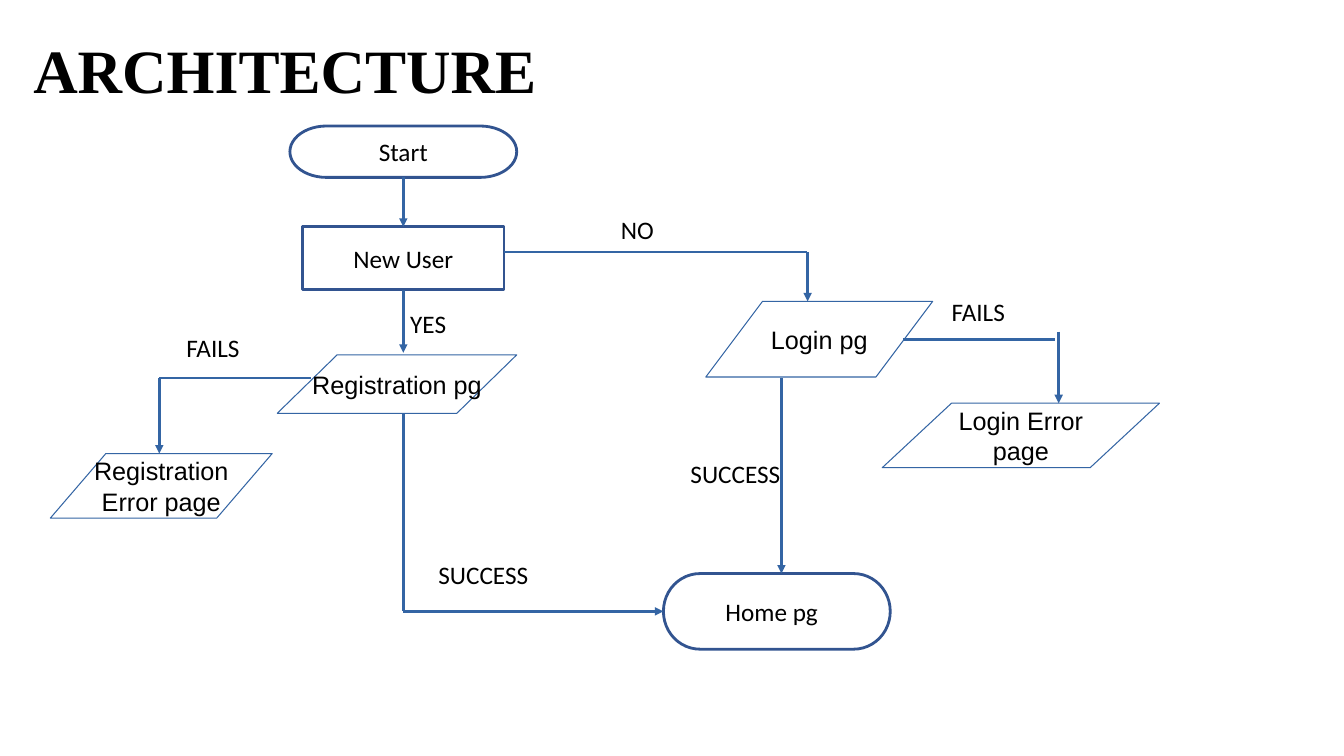
import pptx
import pptx.util
import pptx.dml.color
import pptx.enum.shapes
import pptx.enum.text
import pptx.oxml.ns
from lxml import etree

BLACK = pptx.dml.color.RGBColor(0x00, 0x00, 0x00)
WHITE = pptx.dml.color.RGBColor(0xFF, 0xFF, 0xFF)
NAVY = pptx.dml.color.RGBColor(0x32, 0x54, 0x90)
BLUE = pptx.dml.color.RGBColor(0x34, 0x65, 0xA4)

ALIGN = pptx.enum.text.PP_ALIGN
ANCHOR = pptx.enum.text.MSO_ANCHOR
SHAPE = pptx.enum.shapes.MSO_SHAPE
TOP, LEFT, BOTTOM = 0, 1, 2


class FlowSlide:
    """Draws flowchart parts on a slide, placed on a quarter-inch grid."""

    cell = 0.25
    slant = 0.25
    text_size = 18
    outline = 2
    hairline = 0

    def __init__(self, slide):
        self.slide = slide
        self.shapes = slide.shapes

    def grid(self, *cells):
        return [pptx.util.Inches(count * self.cell) for count in cells]

    def set_text(self, frame, lines, font, align, anchor, size=text_size, bold=False):
        frame.vertical_anchor = anchor
        for index, line in enumerate(lines):
            paragraph = frame.add_paragraph() if index else frame.paragraphs[0]
            paragraph.alignment = align
            run = paragraph.add_run()
            run.text = line
            run.font.name = font
            run.font.size = pptx.util.Pt(size)
            run.font.bold = bold
            run.font.color.rgb = BLACK

    def paint(self, node, color, width):
        node.shadow.inherit = False
        node.fill.solid()
        node.fill.fore_color.rgb = WHITE
        node.line.color.rgb = color
        node.line.width = pptx.util.Pt(width)

    def title(self, text, *box):
        heading = self.shapes.title
        heading.left, heading.top, heading.width, heading.height = self.grid(*box)
        self.set_text(heading.text_frame, [text], "Times New Roman", ALIGN.LEFT,
                      ANCHOR.TOP, size=44, bold=True)

    def step(self, kind, text, *box):
        node = self.shapes.add_shape(kind, *self.grid(*box))
        self.paint(node, NAVY, self.outline)
        self.set_text(node.text_frame, [text], "Calibri", ALIGN.CENTER, ANCHOR.MIDDLE)
        return node

    def page(self, lines, *box):
        left, top, width, height = self.grid(*box)
        shift = int(width * self.slant)
        right, bottom = left + width, top + height
        builder = self.shapes.build_freeform(left + shift, top)
        builder.add_line_segments(
            [(right, top), (right - shift, bottom), (left, bottom)], close=True)
        node = builder.convert_to_shape()
        self.paint(node, BLUE, self.hairline)
        self.set_text(node.text_frame, lines, "Arial", ALIGN.CENTER, ANCHOR.MIDDLE)
        node.text_frame.word_wrap = False

    def link(self, *ends, arrow=True, begin=None, end=None):
        link = self.shapes.add_connector(
            pptx.enum.shapes.MSO_CONNECTOR.STRAIGHT, *self.grid(*ends))
        if begin:
            link.begin_connect(*begin)
        if end:
            link.end_connect(*end)
        link.line.color.rgb = BLUE
        link.line.width = pptx.util.Pt(self.hairline)
        if arrow:
            etree.SubElement(link.get_or_add_ln(),
                             pptx.oxml.ns.qn("a:tailEnd"), type="triangle")
        etree.SubElement(link.element.spPr, pptx.oxml.ns.qn("a:effectLst"))

    def label(self, text, column, row):
        frame = self.shapes.add_textbox(*self.grid(column, row, 12, 1.6)).text_frame
        frame.word_wrap = True
        self.set_text(frame, [text], "Calibri", ALIGN.LEFT, ANCHOR.TOP)


def main():
    deck = pptx.Presentation()
    deck.slide_width = pptx.util.Inches(13.33)
    deck.slide_height = pptx.util.Inches(7.5)
    flow = FlowSlide(deck.slides.add_slide(deck.slide_layouts[5]))

    flow.title("ARCHITECTURE", 0.92, 1.08, 26.84, 3.12)

    start = flow.step(SHAPE.FLOWCHART_TERMINATOR, "Start", 11.5, 5, 9, 2.04)
    new_user = flow.step(SHAPE.RECTANGLE, "New User", 12, 9, 8, 2.5)
    home = flow.step(SHAPE.FLOWCHART_TERMINATOR, "Home pg", 26.32, 22.76, 9, 3)
    home.text_frame.margin_right = pptx.util.Inches(0.2)

    flow.page(["Registration pg"], 11, 14.08, 9.5, 2.32)
    flow.page(["Login pg"], 28, 11.96, 9, 3)
    flow.page(["Registration", "Error page"], 2, 18, 8.8, 2.56)
    flow.page(["Login Error", "page"], 35, 16, 11, 2.56)

    flow.link(16, 7.04, 16, 9, begin=(start, BOTTOM), end=(new_user, TOP))
    flow.link(16, 11.5, 16, 14, begin=(new_user, BOTTOM))
    flow.link(20, 10, 32, 10, arrow=False)
    flow.link(32.04, 10, 32.04, 11.96)
    flow.link(31, 15, 31, 22.76)
    flow.link(16, 16.4, 16, 24.26, arrow=False)
    flow.link(16, 24.26, 26.32, 24.26, end=(home, LEFT))
    flow.link(35.84, 13.48, 41.84, 13.48, arrow=False)
    flow.link(42, 13.16, 42, 16)
    flow.link(12.32, 15, 6.32, 15, arrow=False)
    flow.link(6.32, 15, 6.32, 18)

    for text, column, row in [
        ("NO", 24.24, 8.32),
        ("YES", 15.88, 12.04),
        ("SUCCESS", 17, 22),
        ("SUCCESS", 27, 18),
        ("FAILS", 37.36, 11.56),
        ("FAILS", 7, 13),
    ]:
        flow.label(text, column, row)

    deck.save("out.pptx")


if __name__ == "__main__":
    main()
